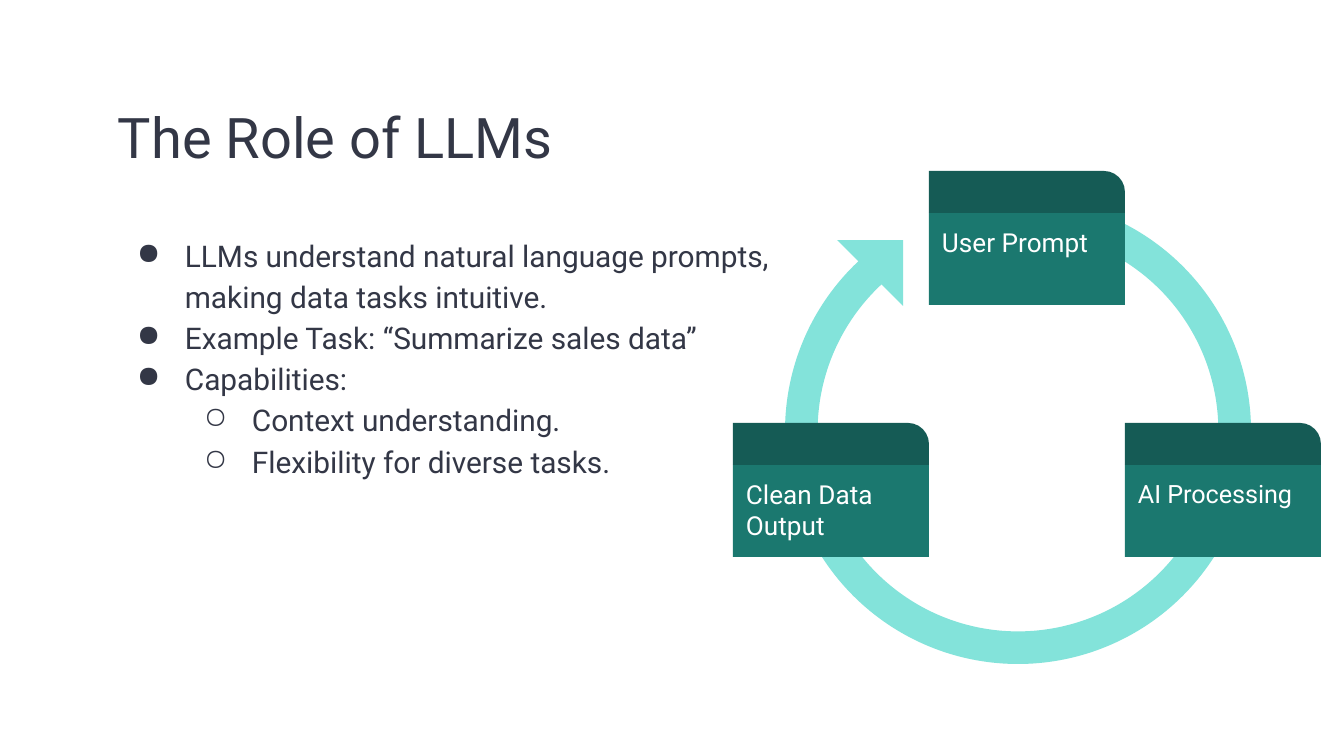
from dataclasses import dataclass

from lxml import etree
from pptx import Presentation
from pptx import util as u
from pptx.dml.color import RGBColor
from pptx.enum import shapes, text
from pptx.oxml import ns

EMU_PER_PX = 914400 / 134.4
INSET = 13
INDENT, HANGING = 67, 48
CARD_WIDTH, HEADER_HEIGHT, CARD_BODY_HEIGHT = 196, 42, 92


@dataclass(frozen=True)
class Theme:
    font: str = "Roboto"
    ink: str = "333746"
    white: str = "FFFFFF"
    ring: str = "83E3DA"
    card: str = "1B786F"
    header: str = "155B55"
    title_size: float = 30
    body_size: float = 16
    card_size: float = 14
    small_card_size: float = 13.5


THEME = Theme()


def px(length):
    return u.Emu(round(length * EMU_PER_PX))


def add_bullet(paragraph, level, color):
    """Give the paragraph a hanging bullet that suits its level."""
    paragraph.level = level
    properties = paragraph._p.get_or_add_pPr()
    properties.set("marL", str(px(INDENT * (level + 1))))
    properties.set("indent", str(-px(HANGING)))
    bullet_color = etree.SubElement(properties, ns.qn("a:buClr"))
    etree.SubElement(bullet_color, ns.qn("a:srgbClr"), val=color)
    etree.SubElement(properties, ns.qn("a:buChar"), char="●○"[level])


def write_text(shape, lines, *, size, color, line_spacing=1.0, bullets=False):
    """Fill the shape with (level, wording) lines."""
    frame = shape.text_frame
    frame.word_wrap = True
    frame.vertical_anchor = text.MSO_ANCHOR.TOP
    frame.margin_left = frame.margin_right = px(INSET)
    frame.margin_top = frame.margin_bottom = px(INSET)
    for index, (level, wording) in enumerate(lines):
        paragraph = frame.add_paragraph() if index else frame.paragraphs[0]
        if bullets:
            add_bullet(paragraph, level, color)
        paragraph.alignment = text.PP_ALIGN.LEFT
        paragraph.line_spacing = line_spacing
        run = paragraph.add_run()
        run.text = wording
        run.font.name = THEME.font
        run.font.size = u.Pt(size)
        run.font.color.rgb = RGBColor.from_string(color)


def add_text_box(slide, left, top, width, height, lines, **text_format):
    box = slide.shapes.add_textbox(px(left), px(top), px(width), px(height))
    write_text(box, lines, color=THEME.ink, line_spacing=1.15, **text_format)


def add_filled_shape(slide, kind, left, top, width, height, color,
                     adjustments=(), rotation=0):
    shape = slide.shapes.add_shape(kind, px(left), px(top), px(width), px(height))
    for index, value in enumerate(adjustments):
        shape.adjustments[index] = value
    shape.rotation = rotation
    shape.shadow.inherit = False
    shape.fill.solid()
    shape.fill.fore_color.rgb = RGBColor.from_string(color)
    shape.line.fill.background()
    return shape


def add_cycle_arrow(slide):
    """Draw the ring and the arrowhead at its end."""
    kinds = shapes.MSO_SHAPE
    add_filled_shape(slide, kinds.BLOCK_ARC, 785, 198, 466, 466, THEME.ring,
                     adjustments=(54, 30.13, 0.07), rotation=180)
    add_filled_shape(slide, kinds.RIGHT_TRIANGLE, 837, 240, 66, 66, THEME.ring,
                     rotation=180)


def add_card(slide, left, top, label, size):
    """Draw a labelled card below a header with one round corner."""
    kinds = shapes.MSO_SHAPE
    body = add_filled_shape(slide, kinds.RECTANGLE, left, top + HEADER_HEIGHT,
                            CARD_WIDTH, CARD_BODY_HEIGHT, THEME.card)
    write_text(body, [(0, label)], size=size, color=THEME.white)
    add_filled_shape(slide, kinds.ROUND_1_RECTANGLE, left, top, CARD_WIDTH,
                     HEADER_HEIGHT, THEME.header, adjustments=(0.5,))


def main():
    presentation = Presentation()
    presentation.slide_width, presentation.slide_height = px(1344), px(756)
    slide = presentation.slides.add_slide(presentation.slide_layouts[6])

    # Title and bullet list
    add_text_box(slide, 105, 79, 1134, 104, [(0, "The Role of LLMs")],
                 size=THEME.title_size)
    add_text_box(slide, 105, 219, 739, 495, [
        (0, "LLMs understand natural language prompts, making data tasks intuitive."),
        (0, "Example Task: “Summarize sales data”"),
        (0, "Capabilities:"),
        (1, "Context understanding."),
        (1, "Flexibility for diverse tasks."),
    ], size=THEME.body_size, bullets=True)

    # Cycle diagram: cards stand in adjoining columns
    add_cycle_arrow(slide)
    for column, top, label, size in (
        (2, 423, "AI Processing", THEME.small_card_size),
        (1, 171, "User Prompt", THEME.card_size),
        (0, 423, "Clean Data Output", THEME.card_size),
    ):
        add_card(slide, 733 + column * CARD_WIDTH, top, label, size)

    presentation.save("out.pptx")


if __name__ == "__main__":
    main()
